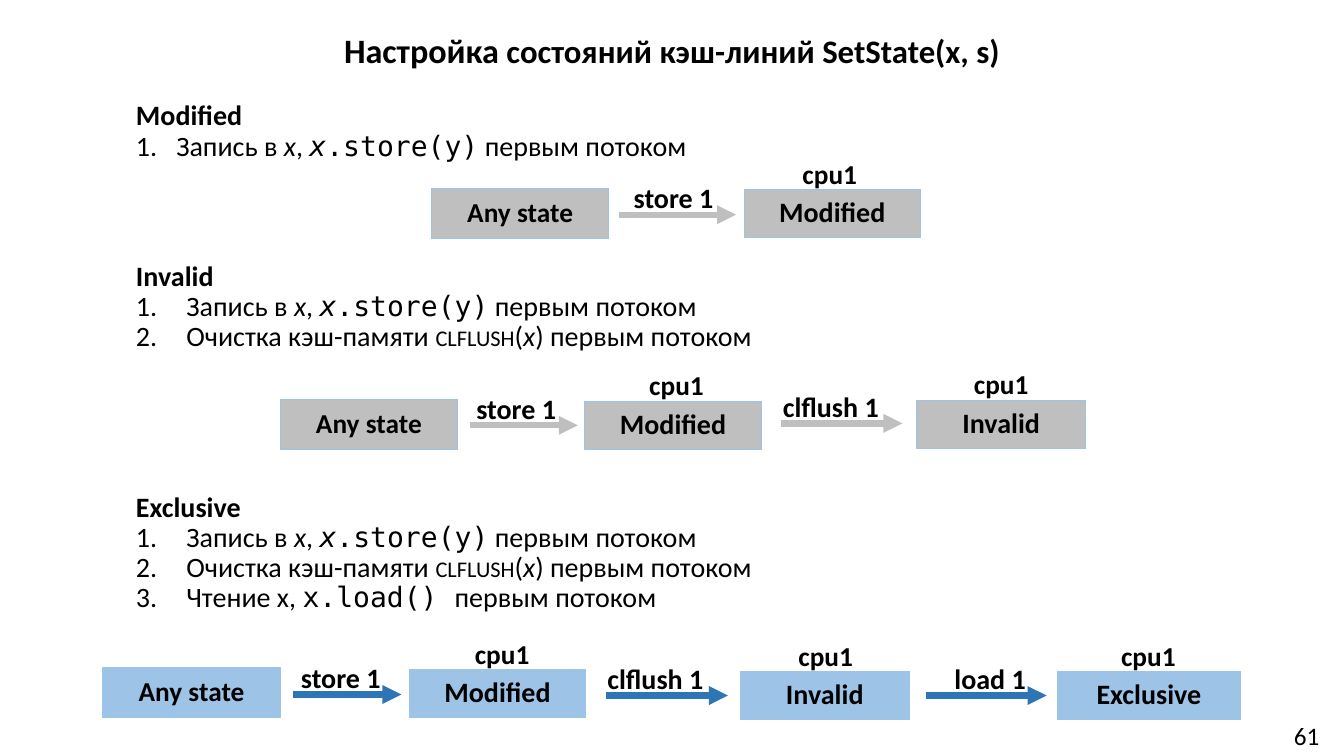
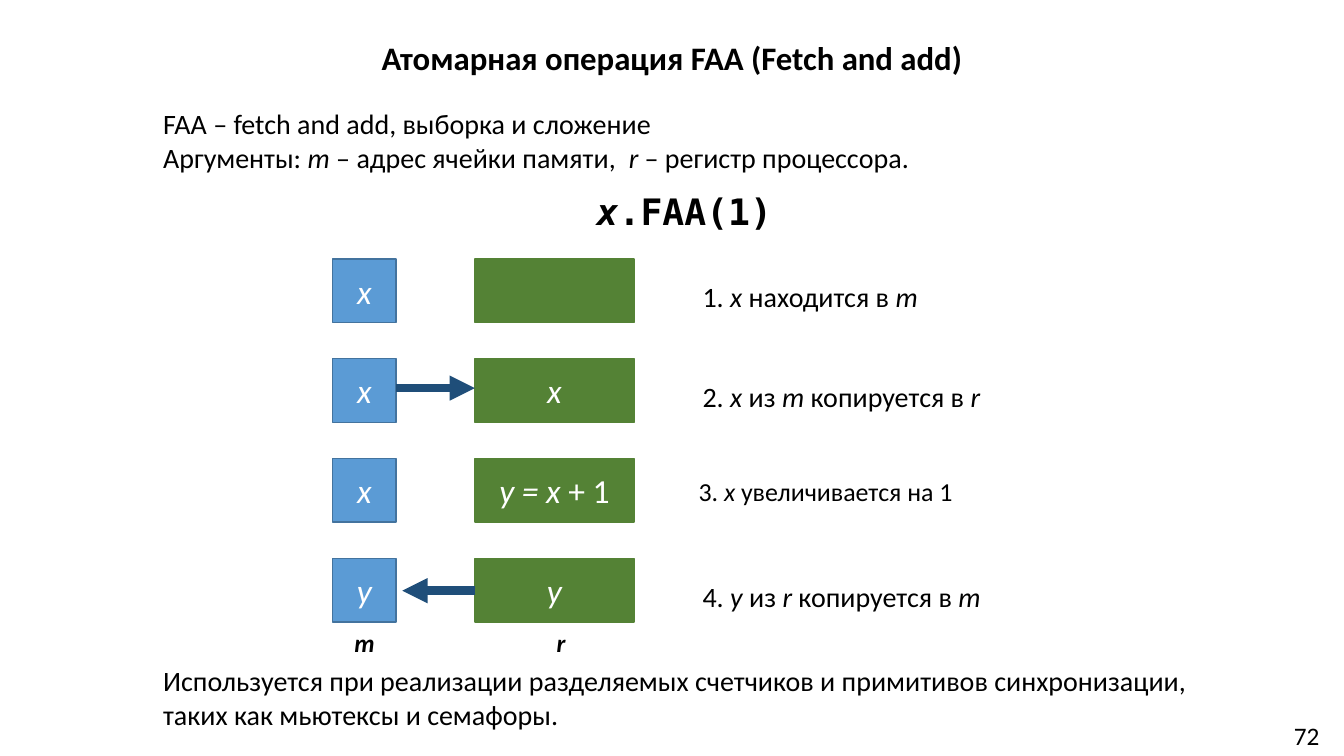
from lxml import etree
from pptx import Presentation
from pptx import util as u
from pptx.dml.color import RGBColor
from pptx.enum import shapes, text
from pptx.oxml.ns import qn

SANS, MONO = "Calibri", "DejaVu Sans Mono"
BLACK, WHITE = "000000", "FFFFFF"
GREY, PALE_BLUE, STRONG_BLUE = "BFBFBF", "9DC3E6", "2E75B6"
CELL_BLUE, CELL_EDGE, GREEN, NAVY = "5B9BD5", "43739E", "548235", "1F4E79"

CENTER = text.PP_ALIGN.CENTER
MIDDLE = text.MSO_ANCHOR.MIDDLE

BOLD = {"bold": True}
ITALIC = {"italic": True}
CODE = {"name": MONO}
CODE_ITALIC = {**CODE, **ITALIC}
SMALL_CAPS = {"caps": "small"}

STORE = ["Запись в ", ("x", ITALIC), ", ", ("x", CODE_ITALIC),
         (".store(y)", CODE), " первым потоком"]
FLUSH = ["Очистка кэш-памяти ", ("clflush", SMALL_CAPS), "(", ("x", ITALIC),
         ") первым потоком"]
LOAD = ["Чтение x, ", ("x.load() ", CODE), "первым потоком"]

# heading, top, height, number indent, steps
SECTIONS = [
    ("Modified", 0.96, 0.85, 0.4, [STORE]),
    ("Invalid", 2.55, 1.52, 0.5, [STORE, FLUSH]),
    ("Exclusive", 4.84, 1.52, 0.5, [STORE, FLUSH, LOAD]),
]

STATE_SIZES = {"Any state": (1.76, 0.5), "Modified": (1.75, 0.48),
               "Invalid": (1.68, 0.48), "Exclusive": (1.81, 0.48)}

# fill, arrow colour, states (name, left, top, centre of the cpu label),
# transitions (name, centre of the label, arrow start, arrow end, arrow height)
CHAINS = [
    (GREY, GREY,
     [("Any state", 4.28, 1.87, None), ("Modified", 7.38, 1.88, 8.23)],
     [("store 1", 6.68, 6.14, 7.3, 2.13)]),
    (GREY, GREY,
     [("Any state", 2.78, 3.96, None), ("Modified", 5.8, 3.98, 6.71),
      ("Invalid", 9.09, 3.97, 9.93)],
     [("store 1", 5.12, 4.66, 5.73, 4.22), ("clflush 1", 8.24, 7.75, 8.95, 4.2)]),
    (PALE_BLUE, STRONG_BLUE,
     [("Any state", 1.02, 6.62, None), ("Modified", 4.06, 6.64, 4.98),
      ("Invalid", 7.34, 6.66, 8.19), ("Exclusive", 10.49, 6.66, 11.39)],
     [("store 1", 3.38, 2.91, 3.98, 6.89), ("clflush 1", 6.5, 6.01, 7.22, 6.9),
      ("load 1", 9.82, 9.18, 10.38, 6.9)]),
]

# memory cell, register, caption, caption left, caption size, line spacing
FAA_STEPS = [
    ("x", [], ["1. ", ("х ", ITALIC), "находится в ", ("m", ITALIC)],
     6.87, 20, 1.2),
    ("x", [("x", ITALIC)],
     ["2. ", ("х ", ITALIC), "из ", ("m ", ITALIC), "копируется в ", ("r", ITALIC)],
     6.87, 20, 1.2),
    ("x", [("y = x ", ITALIC), "+ 1"],
     ["3. ", ("х", ITALIC), " увеличивается на 1"], 6.83, 18.5, 1.1),
    ("y", [("y", ITALIC)],
     ["4. ", ("y ", ITALIC), "из ", ("r ", ITALIC), "копируется в ", ("m", ITALIC)],
     6.87, 20, 1.2),
]
ROW_TOP, ROW_STEP = 2.57, 0.99
CELL_SIZE, REGISTER_WIDTH = 0.63, 1.58
CELL_LEFT, REGISTER_LEFT = 3.3, 4.71


def color(value):
    return RGBColor.from_string(value)


def inches(*lengths):
    return [u.Inches(length) for length in lengths]


def add_run(para, content, size, ink):
    """Add a run given as plain text or as a (text, format values) pair."""
    words, style = (content, {}) if isinstance(content, str) else content
    span = para.add_run()
    span.text = words
    values = {"name": SANS, "size": u.Pt(size), **style}
    caps = values.pop("caps", None)
    for name, value in values.items():
        setattr(span.font, name, value)
    span.font.color.rgb = color(ink)
    if caps:
        span.font._element.set("cap", caps)


def number(para, indent):
    properties = para._p.get_or_add_pPr()
    properties.set("marL", str(u.Inches(indent)))
    properties.set("indent", str(-u.Inches(indent)))
    etree.SubElement(properties, qn("a:buAutoNum"), type="arabicPeriod")


def write(frame, paragraphs, size=20, ink=BLACK, spacing=None, align=None,
          anchor=text.MSO_ANCHOR.TOP, wrap=True, indent=None):
    """Fill a text frame; with an indent, all but the first paragraph are numbered."""
    frame.word_wrap = wrap
    frame.vertical_anchor = anchor
    for index, runs in enumerate(paragraphs):
        para = frame.add_paragraph() if index else frame.paragraphs[0]
        if align is not None:
            para.alignment = align
        if spacing:
            para.line_spacing = spacing
        if indent and index:
            number(para, indent)
        for content in runs:
            add_run(para, content, size, ink)


def add_text(slide, place, paragraphs, **layout):
    box = slide.shapes.add_textbox(*inches(*place))
    write(box.text_frame, paragraphs, **layout)


def add_label(slide, center_x, center_y, words, size=20):
    width, height = 1.68, 0.48
    add_text(slide, (center_x - width / 2, center_y - height / 2, width, height),
             [[(words, BOLD)]], size=size, spacing=0.9, align=CENTER, anchor=MIDDLE)


def add_box(slide, place, fill, edge, edge_width, runs, **layout):
    box = slide.shapes.add_shape(shapes.MSO_SHAPE.RECTANGLE, *inches(*place))
    box.shadow.inherit = False
    box.fill.solid()
    box.fill.fore_color.rgb = color(fill)
    box.line.color.rgb = color(edge)
    box.line.width = u.Pt(edge_width)
    if runs:
        write(box.text_frame, [runs], align=CENTER, anchor=MIDDLE, **layout)


def add_arrow(slide, start, end, y, ink, width):
    arrow = slide.shapes.add_connector(shapes.MSO_CONNECTOR.STRAIGHT,
                                       *inches(start, y, end, y))
    arrow.line.color.rgb = color(ink)
    arrow.line.width = u.Pt(width)
    etree.SubElement(arrow.line._get_or_add_ln(), qn("a:tailEnd"), type="triangle")
    etree.SubElement(arrow._element.spPr, qn("a:effectLst"))


def add_page(deck, title, title_top, page_number):
    slide = deck.slides.add_slide(deck.slide_layouts[6])
    add_text(slide, (0, title_top, 13.33, 0.67), [title], size=23.4,
             spacing=0.9, align=CENTER)
    add_text(slide, (12.58, 7.07, 0.76, 0.45), [[page_number]], size=18,
             align=CENTER, anchor=MIDDLE)
    return slide


def add_chain(slide, fill, arrow_ink, states, transitions):
    for name, left, top, cpu_center in states:
        size = 19.5 if name == "Any state" else 20
        add_box(slide, (left, top, *STATE_SIZES[name]), fill, PALE_BLUE, 0.75,
                [(name, BOLD)], size=size, spacing=0.9)
        if cpu_center:
            add_label(slide, cpu_center, top - 0.14, "cpu1", 19.5)
    for name, center, start, end, y in transitions:
        add_arrow(slide, start, end, y, arrow_ink, 4.5)
        add_label(slide, center, y - 0.15, name)


def build_states(deck):
    title = [("Настройка", {**BOLD, "size": u.Pt(24.4)}),
             (" состояний кэш-линий SetState(x, s)", BOLD)]
    slide = add_page(deck, title, 0.29, "61")
    for heading, top, height, indent, steps in SECTIONS:
        add_text(slide, (1.25, top, 8.38, height), [[(heading, BOLD)], *steps],
                 spacing=0.9, indent=indent)
    for chain in CHAINS:
        add_chain(slide, *chain)


def build_faa(deck):
    slide = add_page(deck, [("Атомарная операция FAA (Fetch and add)", BOLD)],
                     0.37, "72")
    add_text(slide, (1.52, 0.97, 11.7, 0.84), [
        ["FAA – fetch and add, выборка и сложение"],
        ["Аргументы: ", ("m", ITALIC), " – адрес ячейки памяти,  ",
         ("r", ITALIC), " – регистр процессора."],
    ], anchor=MIDDLE)
    add_text(slide, (5.82, 1.83, 2.2, 0.46),
             [[("x", {**CODE_ITALIC, **BOLD}), (".FAA(1)", {**CODE, **BOLD})]],
             size=26)

    for row, (cell, register, caption, left, size, spacing) in enumerate(FAA_STEPS):
        top = ROW_TOP + row * ROW_STEP
        add_box(slide, (CELL_LEFT, top, CELL_SIZE, CELL_SIZE), CELL_BLUE,
                CELL_EDGE, 1, [(cell, ITALIC)], size=24, ink=WHITE)
        add_box(slide, (REGISTER_LEFT, top, REGISTER_WIDTH, CELL_SIZE), GREEN,
                GREEN, 1, register, size=24, ink=WHITE)
        add_text(slide, (left, top + 0.09, 3.76, 0.45), [caption], size=size,
                 spacing=spacing)
    add_arrow(slide, CELL_LEFT + CELL_SIZE, REGISTER_LEFT, 3.85, NAVY, 6)
    add_arrow(slide, REGISTER_LEFT, 3.99, 5.86, NAVY, 6)

    for name, left, width in [("m", CELL_LEFT, CELL_SIZE), ("r", 5.25, CELL_SIZE)]:
        add_text(slide, (left, 6.17, width, 0.4), [[(name, {**BOLD, **ITALIC})]],
                 size=18, align=CENTER)
    add_text(slide, (1.52, 6.49, 11.7, 0.86), [
        ["Используется при реализации разделяемых счетчиков и примитивов синхронизации,"],
        ["таких как мьютексы и семафоры."],
    ], anchor=MIDDLE)


def main():
    deck = Presentation()
    deck.slide_width, deck.slide_height = inches(13.33, 7.5)
    build_states(deck)
    build_faa(deck)
    deck.save("out.pptx")


if __name__ == "__main__":
    main()
